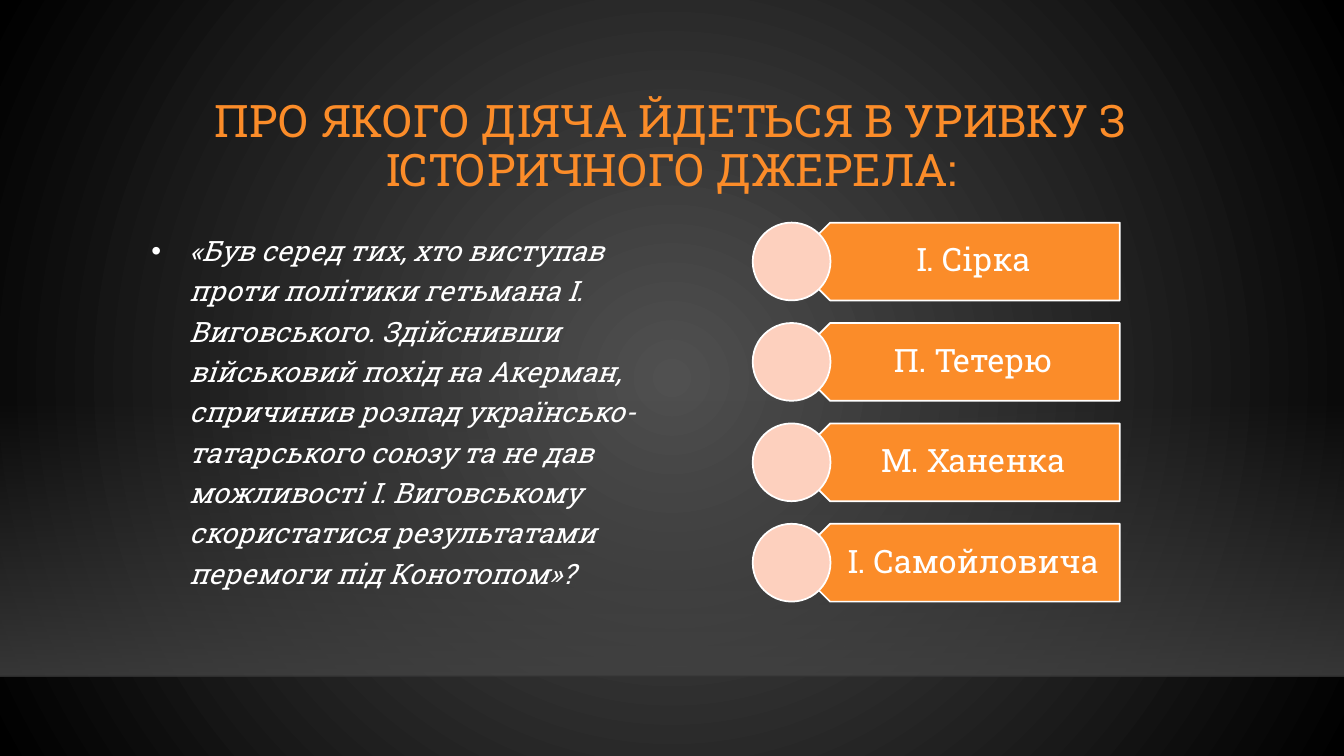
from dataclasses import dataclass

from pptx import Presentation
from pptx.dml.color import RGBColor
from pptx.enum.shapes import MSO_CONNECTOR, MSO_SHAPE
from pptx.enum.text import MSO_ANCHOR, MSO_AUTO_SIZE, PP_ALIGN
from pptx.oxml import parse_xml
from pptx.oxml.ns import nsdecls, qn
from pptx.util import Cm, Pt
from lxml import etree

LINE = MSO_CONNECTOR.STRAIGHT
RECT, PLATE, OVAL = MSO_SHAPE.RECTANGLE, MSO_SHAPE.PENTAGON, MSO_SHAPE.OVAL
MIDDLE, TOP = MSO_ANCHOR.MIDDLE, MSO_ANCHOR.TOP
CENTER, LEFT = PP_ALIGN.CENTER, PP_ALIGN.LEFT
NO_FIT = MSO_AUTO_SIZE.NONE

WIDE, HIGH = 33.87, 19.05
TITLE = "ПРО ЯКОГО ДІЯЧА ЙДЕТЬСЯ В УРИВКУ З ІСТОРИЧНОГО ДЖЕРЕЛА:"
QUOTE = (
    "«Був серед тих, хто виступав проти політики гетьмана І. Виговського. "
    "Здійснивши військовий похід на Акерман, спричинив розпад "
    "українсько-татарського союзу та не дав можливості І. Виговському "
    "скористатися результатами перемоги під Конотопом»?"
)
NAMES = ["І. Сірка", "П. Тетерю", "М. Ханенка", "І. Самойловича"]


@dataclass
class Theme:
    font: str = "Roboto Slab"
    accent: str = "FB8C29"
    pale: str = "FDD0BE"
    white: str = "FFFFFF"
    glow: str = "505050"
    dark: str = "000000"
    floor: str = "454545"
    edge: str = "000001"
    title: int = 32
    body: int = 20
    label: int = 23


def grad(stops, kind):
    """Gradient fill from (position %, colour, opacity %) stops."""
    marks = "".join(
        f'<a:gs pos="{pos * 1000}"><a:srgbClr val="{color}">'
        f'<a:alpha val="{alpha * 1000}"/></a:srgbClr></a:gs>'
        for pos, color, alpha in stops
    )
    return (f'<a:gradFill {nsdecls("a")} rotWithShape="1">'
            f'<a:gsLst>{marks}</a:gsLst>{kind}</a:gradFill>')


class Page:
    def __init__(self, deck, theme):
        self.theme = theme
        self.slide = deck.slides.add_slide(deck.slide_layouts[1])
        self.shapes = self.slide.shapes

    def back(self):
        kind = ('<a:path path="circle"><a:fillToRect l="50000" t="50000" '
                'r="50000" b="50000"/></a:path>')
        fill = grad([(0, self.theme.glow, 100), (100, self.theme.dark, 100)], kind)
        node = parse_xml(f'<p:bg {nsdecls("p", "a")}><p:bgPr>{fill}'
                         '<a:effectLst/></p:bgPr></p:bg>')
        self.slide.element.cSld.insert(0, node)

    def floor(self, top, high):
        """Fading band and its thin edge, behind everything else."""
        band = self.shape(RECT, 0, top, WIDE, high, self.theme.floor)
        band.line.fill.background()
        props = band.element.spPr
        fill = grad([(0, self.theme.floor, 0), (100, self.theme.floor, 80)],
                    '<a:lin ang="5400000" scaled="0"/>')
        props.replace(props.find(qn("a:solidFill")), parse_xml(fill))

        low = Cm(top + high)
        edge = self.shapes.add_connector(LINE, 0, low, Cm(WIDE), low)
        edge.line.color.rgb = RGBColor.from_string(self.theme.edge)
        edge.line.width = Pt(1)
        color = next(edge.element.spPr.iter(qn("a:srgbClr")))
        etree.SubElement(color, qn("a:alpha"), val="20000")
        etree.SubElement(edge.element.spPr, qn("a:effectLst"))
        for spot, part in enumerate((band, edge), 2):
            self.shapes.element.insert(spot, part.element)

    def shape(self, kind, left, top, wide, high, fill):
        item = self.shapes.add_shape(kind, Cm(left), Cm(top), Cm(wide), Cm(high))
        item.shadow.inherit = False
        item.fill.solid()
        item.fill.fore_color.rgb = RGBColor.from_string(fill)
        item.line.color.rgb = RGBColor.from_string(self.theme.white)
        item.line.width = Pt(1.25)
        return item

    def text(self, box, words, size, color, align, anchor, space=0.9):
        frame = box.text_frame
        frame.word_wrap = True
        frame.auto_size = NO_FIT
        frame.vertical_anchor = anchor
        frame.text = words
        para = frame.paragraphs[0]
        para.alignment = align
        para.line_spacing = space
        para.space_before = Pt(0)
        para.font.name = self.theme.font
        para.font.size = Pt(size)
        para.font.color.rgb = RGBColor.from_string(color)
        return para

    def place(self, box, left, top, wide, high):
        box.left, box.top, box.width, box.height = map(Cm, (left, top, wide, high))

    def title(self, words):
        box = self.shapes.title
        self.place(box, 4.01, 2.24, 25.81, 2.95)
        self.text(box, words, self.theme.title, self.theme.accent, CENTER, MIDDLE)

    def quote(self, words):
        box = self.slide.placeholders[1]
        self.place(box, 3.56, 5.59, 12.93, 9.58)
        props = box.text_frame.paragraphs[0]._p.get_or_add_pPr()
        props.set("marL", str(Cm(0.64)))
        props.set("indent", str(-Cm(0.64)))
        tint = etree.SubElement(props, qn("a:buClr"))
        etree.SubElement(tint, qn("a:srgbClr"), val=self.theme.accent)
        etree.SubElement(props, qn("a:buChar"), char="•")
        para = self.text(box, words, self.theme.body, self.theme.white,
                         LEFT, TOP, 1.2)
        para.font.italic = True

    def choice(self, words, top, size=1.96):
        """Arrow tag with its label and a round marker on the point."""
        tag = self.shape(PLATE, 19.94, top, 8.28, size, self.theme.accent)
        tag.rotation = 180
        box = self.shapes.add_textbox(Cm(20.43), Cm(top), Cm(7.79), Cm(size))
        frame = box.text_frame
        frame.margin_left, frame.margin_right = Cm(0.86), Cm(0.46)
        frame.margin_top = frame.margin_bottom = Cm(0.25)
        self.text(box, words, self.theme.label, self.theme.white, CENTER, MIDDLE)
        self.shape(OVAL, 18.97, top, size, size, self.theme.pale)


def main():
    deck = Presentation()
    deck.slide_width, deck.slide_height = Cm(WIDE), Cm(HIGH)
    page = Page(deck, Theme())

    # Backdrop
    page.back()
    page.floor(10.06, 6.98)

    # Question
    page.title(TITLE)
    page.quote(QUOTE)

    # Answers
    for row, name in enumerate(NAMES):
        page.choice(name, 5.61 + row * 2.53)

    deck.save("out.pptx")


if __name__ == "__main__":
    main()
